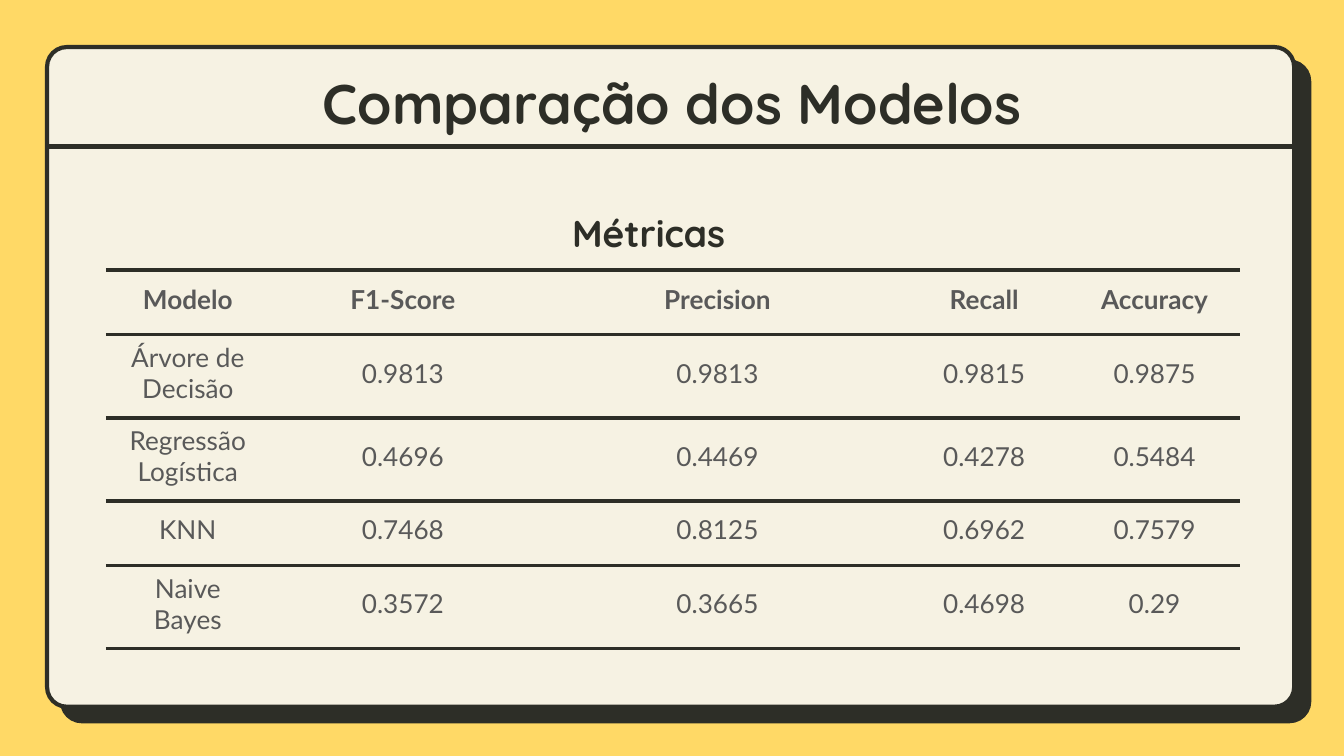
from lxml import etree
from pptx import Presentation
from pptx.dml.color import RGBColor
from pptx.enum.shapes import MSO_CONNECTOR, MSO_SHAPE
from pptx.enum.text import MSO_ANCHOR, MSO_AUTO_SIZE, PP_ALIGN
from pptx.oxml.ns import qn
from pptx.util import Cm, Pt

ROUNDED = MSO_SHAPE.ROUNDED_RECTANGLE
STRAIGHT = MSO_CONNECTOR.STRAIGHT
CENTER = PP_ALIGN.CENTER
MIDDLE = MSO_ANCHOR.MIDDLE
BOTTOM = MSO_ANCHOR.BOTTOM
NO_AUTOFIT = MSO_AUTO_SIZE.NONE

YELLOW = RGBColor(0xFF, 0xD9, 0x66)
CREAM = RGBColor(0xF6, 0xF2, 0xE3)
DARK = RGBColor(0x2D, 0x2E, 0x27)
GRAY = RGBColor(0x59, 0x59, 0x59)

HEADING_FONT = "Quicksand"
BODY_FONT = "Lato"
RULE_WIDTH = Pt(2.25)

HEADERS = ["Modelo", "F1-Score", "Precision", "Recall", "Accuracy"]
RESULTS = [
    ["Árvore de Decisão", "0.9813", "0.9813", "0.9815", "0.9875"],
    ["Regressão Logística", "0.4696", "0.4469", "0.4278", "0.5484"],
    ["KNN", "0.7468", "0.8125", "0.6962", "0.7579"],
    ["Naive Bayes", "0.3572", "0.3665", "0.4698", "0.29"],
]
COLUMN_WIDTHS = [3.1, 5.03, 6.86, 3.22, 3.22]
ROW_HEIGHTS = [1.24, 1.22, 1.57, 1.57, 1.22, 1.57]


def write_text(frame, text, size, font, color, bold):
    para = frame.paragraphs[0]
    para.alignment = CENTER
    span = para.add_run()
    span.text = text
    span.font.size = Pt(size)
    span.font.name = font
    span.font.color.rgb = color
    span.font.bold = bold


def add_color(parent, color):
    fill = etree.SubElement(parent, qn("a:solidFill"))
    etree.SubElement(fill, qn("a:srgbClr"), val=str(color))


def add_panel(page):
    """Rounded window with a hard offset shadow."""
    panel = page.shapes.add_shape(ROUNDED, Cm(0.89), Cm(0.89), Cm(23.57), Cm(12.47))
    panel.adjustments[0] = 0.03
    panel.fill.solid()
    panel.fill.fore_color.rgb = CREAM
    panel.line.color.rgb = DARK
    panel.line.width = RULE_WIDTH
    panel.shadow.inherit = False
    effects = panel._element.spPr.find(qn("a:effectLst"))
    shadow = etree.SubElement(effects, qn("a:outerShdw"), dist=str(Pt(11.2)),
                              dir=str(44 * 60000), algn="bl", rotWithShape="0")
    etree.SubElement(shadow, qn("a:srgbClr"), val=str(DARK))


def add_rule(page, left, right, top):
    rule = page.shapes.add_connector(STRAIGHT, Cm(left), Cm(top), Cm(right), Cm(top))
    rule.line.color.rgb = DARK
    rule.line.width = RULE_WIDTH
    etree.SubElement(rule._element.spPr, qn("a:effectLst"))


def format_title(page, text):
    title = page.shapes.title
    title.left, title.top = Cm(2), Cm(1.47)
    title.width, title.height = Cm(21.41), Cm(1.35)
    frame = title.text_frame
    frame.auto_size = NO_AUTOFIT
    frame.vertical_anchor = BOTTOM
    frame.margin_left = frame.margin_right = Cm(0.25)
    frame.margin_top = frame.margin_bottom = Cm(0.25)
    write_text(frame, text, 30, HEADING_FONT, DARK, True)
    # Bring the title in front of the panel
    title._element.getparent().append(title._element)


def set_borders(cell, ruled_sides):
    properties = cell._tc.get_or_add_tcPr()
    for position, side in enumerate("LRTB"):
        border = etree.Element(qn(f"a:ln{side}"), w=str(RULE_WIDTH))
        if side in ruled_sides:
            add_color(border, DARK)
        else:
            etree.SubElement(border, qn("a:noFill"))
        properties.insert(position, border)


def format_cell(cell, ruled_sides):
    cell.fill.background()
    cell.vertical_anchor = MIDDLE
    cell.margin_left = cell.margin_right = cell.margin_bottom = Cm(0.25)
    cell.margin_top = Cm(0.13)
    set_borders(cell, ruled_sides)


def add_metrics_table(page):
    rows = [HEADERS] + RESULTS
    table = page.shapes.add_table(
        len(ROW_HEIGHTS), len(COLUMN_WIDTHS), Cm(2), Cm(3.84),
        Cm(sum(COLUMN_WIDTHS)), Cm(sum(ROW_HEIGHTS))).table
    table.first_row = False
    table.horz_banding = False
    for column, width in zip(table.columns, COLUMN_WIDTHS):
        column.width = Cm(width)
    for row, height in zip(table.rows, ROW_HEIGHTS):
        row.height = Cm(height)

    # Caption row, shifted right by its left margin
    for cell in table.rows[0].cells:
        format_cell(cell, "B")
    caption = table.cell(0, 0)
    caption.merge(table.cell(0, 3))
    caption.margin_left = Cm(2.56)
    write_text(caption.text_frame, "Métricas", 20, HEADING_FONT, DARK, True)

    # Header and results
    for row_index, values in enumerate(rows, start=1):
        for column_index, value in enumerate(values):
            cell = table.cell(row_index, column_index)
            format_cell(cell, "TB")
            write_text(cell.text_frame, value, 14, BODY_FONT, GRAY, values is HEADERS)


def main():
    deck = Presentation()
    deck.slide_width, deck.slide_height = Cm(25.4), Cm(14.29)
    page = deck.slides.add_slide(deck.slide_layouts[5])
    page.background.fill.solid()
    page.background.fill.fore_color.rgb = YELLOW

    add_panel(page)
    add_rule(page, 0.91, 24.48, 2.77)
    format_title(page, "Comparação dos Modelos")
    add_metrics_table(page)
    deck.save("out.pptx")


if __name__ == "__main__":
    main()
